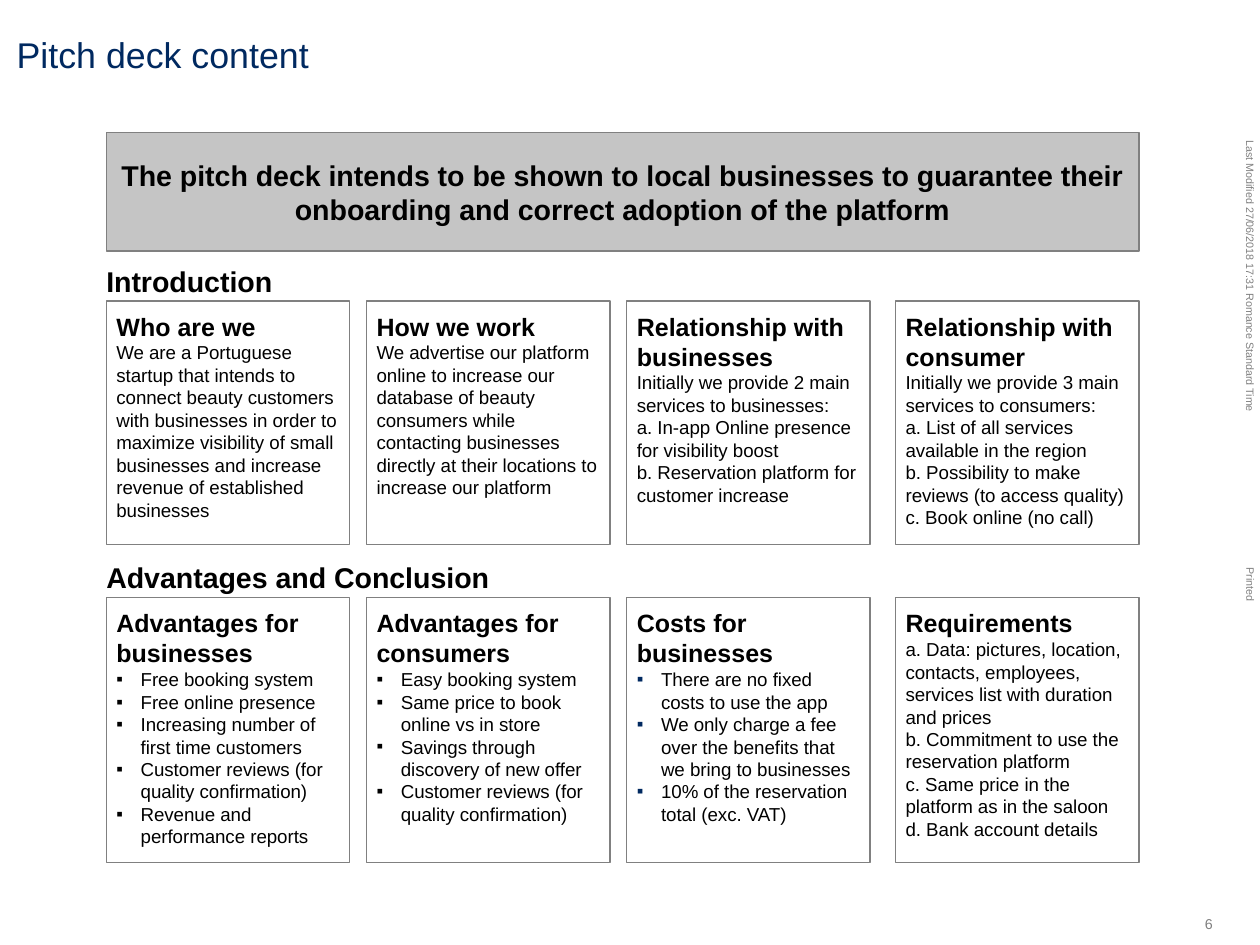
from pptx import Presentation
from pptx.dml.color import RGBColor
from pptx.enum.shapes import MSO_SHAPE
from pptx.enum.text import MSO_ANCHOR as Anchor, PP_ALIGN as Align
from pptx.oxml.ns import qn
from pptx.util import Cm, Pt
from lxml.etree import SubElement

COLORS = {"navy": "002960", "black": "000000", "gray": "808080",
          "banner": "C5C5C5", "white": "FFFFFF"}
FONT = "Arial"
LEFT, WIDTH = 2.1, 20.4
CARD_WIDTH, CARD_STEP = 4.81, 5.14
INSET, BULLET_INDENT = 0.2, 0.48

# Each card: heading, body lines, bullet colour (None for plain lines)
INTRODUCTION = [
    ("Who are we", [
        "We are a Portuguese startup that intends to connect beauty customers "
        "with businesses in order to maximize visibility of small businesses "
        "and increase revenue of established businesses"], None),
    ("How we work", [
        "We advertise our platform online to increase our database of beauty "
        "consumers while contacting businesses directly at their locations to "
        "increase our platform"], None),
    ("Relationship with businesses", [
        "Initially we provide 2 main services to businesses:",
        "a. In-app Online presence for visibility boost",
        "b. Reservation platform for customer increase"], None),
    ("Relationship with consumer", [
        "Initially we provide 3 main services to consumers:",
        "a. List of all services available in the region",
        "b. Possibility to make reviews (to access quality)",
        "c. Book online (no call)"], None),
]
ADVANTAGES = [
    ("Advantages for businesses", [
        "Free booking system", "Free online presence",
        "Increasing number of first time customers",
        "Customer reviews (for quality confirmation)",
        "Revenue and performance reports"], "black"),
    ("Advantages for consumers", [
        "Easy booking system", "Same price to book online vs in store",
        "Savings through discovery of new offer",
        "Customer reviews (for quality confirmation)"], "black"),
    ("Costs for businesses", [
        "There are no fixed costs to use the app",
        "We only charge a fee over the benefits that we bring to businesses",
        "10% of the reservation total (exc. VAT)"], "navy"),
    ("Requirements", [
        "a. Data: pictures, location, contacts, employees, services list with "
        "duration and prices",
        "b. Commitment to use the reservation platform",
        "c. Same price in the platform as in the saloon",
        "d. Bank account details"], None),
]


def color(name):
    """Return the named colour."""
    return RGBColor.from_string(COLORS[name])


def set_frame(frame, inset=0, anchor=Anchor.TOP, wrap=True):
    """Set the margins, anchor and wrapping of a text frame."""
    frame.margin_left = frame.margin_right = Cm(inset)
    frame.margin_top = frame.margin_bottom = Cm(inset)
    frame.vertical_anchor = anchor
    frame.word_wrap = wrap


def write(paragraph, text, size, bold=False, ink="black", align=Align.LEFT, bullet=None):
    """Fill a paragraph with formatted text and an optional bullet."""
    paragraph.alignment = align
    run = paragraph.add_run()
    run.text = text
    run.font.name, run.font.size, run.font.bold = FONT, Pt(size), bold
    run.font.color.rgb = color(ink)
    if bullet:
        properties = paragraph._p.get_or_add_pPr()
        properties.set("marL", str(Cm(BULLET_INDENT)))
        properties.set("indent", str(-Cm(BULLET_INDENT)))
        bullet_color = SubElement(properties, qn("a:buClr"))
        SubElement(bullet_color, qn("a:srgbClr"), val=COLORS[bullet])
        SubElement(properties, qn("a:buFont"), typeface=FONT)
        SubElement(properties, qn("a:buChar"), char="▪")


def add_label(slide, text, box, rotation=0, anchor=Anchor.TOP, wrap=True, **text_format):
    """Add a text box without margins."""
    label = slide.shapes.add_textbox(*map(Cm, box))
    label.rotation = rotation
    set_frame(label.text_frame, anchor=anchor, wrap=wrap)
    write(label.text_frame.paragraphs[0], text, **text_format)


def add_panel(slide, box, fill, anchor=Anchor.TOP):
    """Add an outlined rectangle and return its text frame."""
    panel = slide.shapes.add_shape(MSO_SHAPE.RECTANGLE, *map(Cm, box))
    panel.shadow.inherit = False
    panel.fill.solid()
    panel.fill.fore_color.rgb = color(fill)
    panel.line.color.rgb = color("gray")
    panel.line.width = Pt(0.75)
    set_frame(panel.text_frame, INSET, anchor)
    return panel.text_frame


def add_banner(slide, text, box):
    """Add the gray key message."""
    frame = add_panel(slide, box, "banner", Anchor.MIDDLE)
    write(frame.paragraphs[0], text, 16, bold=True, align=Align.CENTER)


def add_card(slide, heading, lines, bullet, box):
    """Add a card with a bold heading above its body lines."""
    frame = add_panel(slide, box, "white")
    write(frame.paragraphs[0], heading, 14, bold=True)
    for line in lines:
        write(frame.add_paragraph(), line, 10.5, bullet=bullet)


def add_section(slide, title, cards, box, title_height=0.7, title_gap=0.06):
    """Add a section title above a row of cards, the last one flush right."""
    left, top, width, height = box
    add_label(slide, title, (left, top, width, title_height),
              anchor=Anchor.BOTTOM, size=16, bold=True)
    offset = title_height + title_gap
    for index, (heading, lines, bullet) in enumerate(cards):
        is_last = index == len(cards) - 1
        card_left = left + (width - CARD_WIDTH if is_last else index * CARD_STEP)
        add_card(slide, heading, lines, bullet,
                 (card_left, top + offset, CARD_WIDTH, height - offset))


def add_margin_notes(slide):
    """Add the rotated side notes and the page number."""
    small = dict(size=6, ink="gray", rotation=90, wrap=False)
    add_label(slide, "Last Modified 27/06/2018 17:31 Romance Standard Time",
              (21.97, 5.38, 5.46, 0.25), **small)
    add_label(slide, "Printed", (24.36, 11.43, 0.69, 0.25), **small)
    add_label(slide, "6", (23.8, 18.08, 0.36, 0.33), size=8, ink="gray",
              anchor=Anchor.MIDDLE, wrap=False)


def main():
    """Build and save the slide."""
    presentation = Presentation()
    presentation.slide_width, presentation.slide_height = Cm(24.89), Cm(18.67)
    slide = presentation.slides.add_slide(presentation.slide_layouts[6])
    add_margin_notes(slide)
    add_label(slide, "Pitch deck content", (0.33, 0.64, 23.95, 0.86), size=20, ink="navy")
    add_banner(slide, "The pitch deck intends to be shown to local businesses to guarantee "
               "their onboarding and correct adoption of the platform",
               (LEFT, 2.62, WIDTH, 2.34))
    add_section(slide, "Introduction", INTRODUCTION, (LEFT, 5.19, WIDTH, 5.57))
    add_section(slide, "Advantages and Conclusion", ADVANTAGES, (LEFT, 11.05, WIDTH, 5.99))
    presentation.save("out.pptx")


main()
